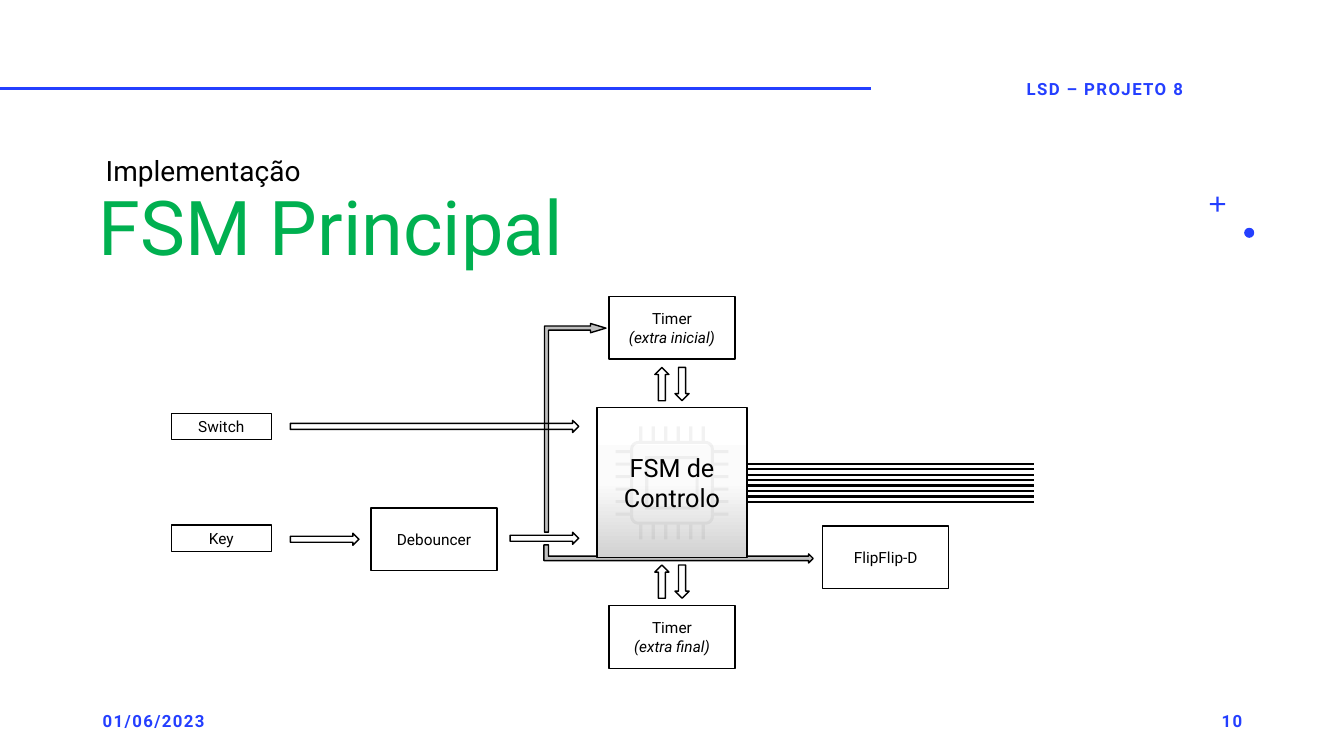
import copy
import math

import pptx
import pptx.dml.color
import pptx.enum.shapes
import pptx.enum.text
import pptx.oxml.ns
import pptx.util
from pptx.util import Inches

FONT = "Roboto"
BLUE, GREEN, BLACK, GRAY = "243FFF", "00B050", "000000", "BFBFBF"
SHAPE = pptx.enum.shapes.MSO_SHAPE
ALIGN = pptx.enum.text.PP_ALIGN
ANCHOR = pptx.enum.text.MSO_ANCHOR


def color(value):
    return pptx.dml.color.RGBColor.from_string(value)


def write(shape, lines, size, font_color, align=ALIGN.CENTER, anchor=ANCHOR.MIDDLE,
          bold=False, spacing=None, tracking=None, italic_lines=()):
    frame = shape.text_frame
    frame.word_wrap = True
    frame.vertical_anchor = anchor
    frame.text = "\n".join(lines)
    for index, paragraph in enumerate(frame.paragraphs):
        paragraph.alignment = align
        paragraph.line_spacing = spacing
        font = paragraph.font
        font.name = FONT
        font.size = pptx.util.Pt(size)
        font.bold = bold
        font.italic = index in italic_lines
        font.color.rgb = color(font_color)
        if tracking:
            for run in paragraph.runs:
                run._r.get_or_add_rPr().set("spc", str(tracking))


def add_text(slide, text, left, top, width, height, size, font_color, **style):
    box = slide.shapes.add_textbox(Inches(left), Inches(top), Inches(width), Inches(height))
    write(box, [text], size, font_color, **style)


def add_label(slide, text, left, top, width, align):
    add_text(slide, text, left, top, width, 0.4, 12, BLUE, align=align, bold=True, tracking=100)


def add_heading(slide, text, left, top, size, font_color):
    add_text(slide, text, left, top, 6.77, 1.29, size, font_color,
             align=ALIGN.LEFT, anchor=ANCHOR.BOTTOM, spacing=0.9)


def add_preset(slide, kind, left, top, width, height, fill=None, line=BLACK,
               rotation=0, adjustments=()):
    shape = slide.shapes.add_shape(kind, Inches(left), Inches(top), Inches(width), Inches(height))
    shape.shadow.inherit = False
    shape.rotation = rotation
    for index, value in enumerate(adjustments):
        shape.adjustments[index] = value
    if fill:
        shape.fill.solid()
        shape.fill.fore_color.rgb = color(fill)
    else:
        shape.fill.background()
    if line:
        shape.line.color.rgb = color(line)
        shape.line.width = pptx.util.Pt(1)
    else:
        shape.line.fill.background()
    return shape


def add_block(slide, lines, left, top, width=1.25, height=0.62):
    block = add_preset(slide, SHAPE.RECTANGLE, left, top, width, height)
    write(block, lines, 11, BLACK, italic_lines=(1,))


def add_arrow(slide, left, top, width, height=0.12, rotation=0):
    add_preset(slide, SHAPE.RIGHT_ARROW, left, top, width, height, rotation=rotation)


def add_line(slide, left, right, y, line_color, width):
    line = slide.shapes.add_connector(
        pptx.enum.shapes.MSO_CONNECTOR.STRAIGHT, Inches(left), Inches(y), Inches(right), Inches(y))
    line.line.color.rgb = color(line_color)
    line.line.width = pptx.util.Pt(width)
    line._element.spPr.append(pptx.oxml.parse_xml(
        "<a:effectLst %s/>" % pptx.oxml.ns.nsdecls("a")))


def chip_contour(half, radius=0, pins=0):
    side = []
    for step in range(7 if radius else 1):
        angle = math.pi + step * math.pi / 12
        side.append((radius - half + radius * math.cos(angle),
                     radius - half + radius * math.sin(angle)))
    for pin in range(pins):
        x = (pin - (pins - 1) / 2) * 0.124
        side += [(x - 0.015, -half), (x - 0.015, -0.56), (x + 0.015, -0.56), (x + 0.015, -half)]
    points = []
    for turn in range(4):
        points += side
        side = [(-y, x) for x, y in side]
    return points


def add_chip_part(slide, contours):
    center_x, center_y = 6.665, 4.79
    builder = None
    for contour in contours:
        points = [(Inches(center_x + x), Inches(center_y + y)) for x, y in contour]
        if builder is None:
            builder = slide.shapes.build_freeform(*points[0])
        else:
            builder.move_to(*points[0])
        builder.add_line_segments(points[1:])
    part = builder.convert_to_shape()
    part.shadow.inherit = False
    part.line.fill.background()
    part.fill.solid()
    part.fill.fore_color.rgb = color(BLACK)
    tint = part._element.spPr.find(".//" + pptx.oxml.ns.qn("a:srgbClr"))
    tint.append(pptx.oxml.parse_xml(
        '<a:alpha %s val="5000"/>' % pptx.oxml.ns.nsdecls("a")))


def add_controller(slide):
    controller = add_preset(slide, SHAPE.RECTANGLE, 5.92, 4.04, 1.49, 1.49)
    controller.fill.gradient()
    controller.fill.gradient_angle = 270
    stop_list = controller._element.spPr.find(".//" + pptx.oxml.ns.qn("a:gsLst"))
    stop_list.append(copy.deepcopy(stop_list[0]))
    stops = [(0, "FFFFFF"), (0.5, "FBFBFB"), (1, "D1D1D1")]
    for stop, (position, value) in zip(controller.fill.gradient_stops, stops):
        stop.position = position
        stop.color.rgb = color(value)
    write(controller, ["FSM de Controlo"], 18, BLACK)
    add_chip_part(slide, [chip_contour(0.265), chip_contour(0.235)])
    add_chip_part(slide, [chip_contour(0.415, 0.08, 6), chip_contour(0.385, 0.05)])


def main():
    presentation = pptx.Presentation()
    presentation.slide_width = Inches(13.33)
    presentation.slide_height = Inches(7.5)
    slide = presentation.slides.add_slide(presentation.slide_layouts[6])

    add_line(slide, 0, 8.64, 0.88, BLUE, 2)
    add_preset(slide, SHAPE.OVAL, 12.34, 2.26, 0.1, 0.1, BLUE, None)
    add_preset(slide, SHAPE.CROSS, 12, 1.95, 0.15, 0.15, BLUE, None, adjustments=[0.43])
    add_label(slide, "01/06/2023", 0.92, 6.95, 3, ALIGN.LEFT)
    add_label(slide, "LSD – PROJETO 8", 8.71, 0.68, 4.5, ALIGN.CENTER)
    add_label(slide, "10", 9.42, 6.95, 3, ALIGN.RIGHT)
    add_heading(slide, "FSM Principal", 0.88, 1.46, 54, GREEN)
    add_heading(slide, "Implementação", 0.95, 0.62, 20, BLACK)

    add_preset(slide, SHAPE.BENT_ARROW, 5.4, 3.21, 0.61, 2.07, GRAY,
               adjustments=[0.067, 0.075, 0.25, 0])
    add_preset(slide, SHAPE.BENT_UP_ARROW, 6.64, 4.16, 0.18, 2.67, GRAY, rotation=90)
    add_controller(slide)

    add_block(slide, ["Switch"], 1.7, 4.1, 0.99, 0.26)
    add_block(slide, ["Key"], 1.7, 5.21, 0.99, 0.26)
    add_block(slide, ["Debouncer"], 3.68, 5.04)
    add_block(slide, ["Timer", "(extra inicial)"], 6.04, 2.94)
    add_block(slide, ["Timer", "(extra final)"], 6.04, 6.01)
    add_block(slide, ["FlipFlip-D"], 8.16, 5.22)

    add_arrow(slide, 2.88, 4.17, 2.86)
    add_arrow(slide, 2.88, 5.29, 0.68)
    add_arrow(slide, 5.06, 5.28, 0.68)
    for top in (3.74, 5.7):
        add_arrow(slide, 6.6, top, 0.33, 0.14, 90)
        add_arrow(slide, 6.4, top, 0.33, 0.14, 270)
    for index in range(8):
        add_line(slide, 7.41, 10.26, 4.6 + index * 0.38 / 7, BLACK, 1.5)

    presentation.save("out.pptx")


if __name__ == "__main__":
    main()
